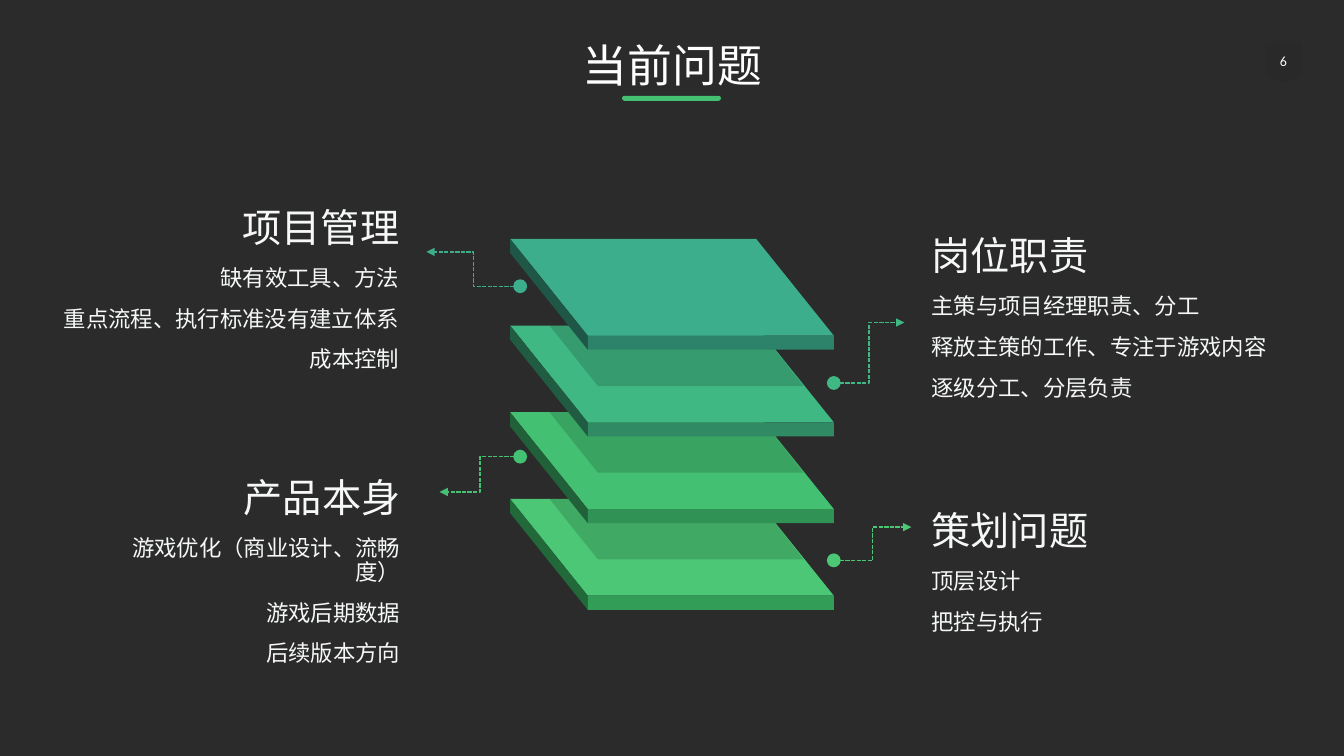
from lxml import etree
from pptx import Presentation
from pptx.dml.color import RGBColor
from pptx.enum.shapes import MSO_CONNECTOR as Connector, MSO_SHAPE as Shape
from pptx.enum.text import MSO_ANCHOR as Anchor, MSO_AUTO_SIZE as AutoSize, PP_ALIGN as Align
from pptx.oxml.ns import qn
from pptx.util import Inches, Pt

TITLE = "当前问题"
PAGE_NUMBER = "6"
COLORS = {
    "background": "2B2B2B", "badge": "292929", "title": "FFFFFF",
    "number": "F9FAFA", "text": "F6F8F8", "accent": "44C072", "shade": "000000",
}
# Top layer first: top face, left side, front edge
LAYERS = [
    ("3CAE8C", "1E5746", "2D8369"),
    ("40B884", "205C42", "308A63"),
    ("44C072", "216139", "319255"),
    ("4CC776", "216939", "319D56"),
]
# Heading, items, box (left, top, width, height), alignment
TOPICS = [
    ("项目管理", ["缺有效工具、方法", "重点流程、执行标准没有建立体系", "成本控制"],
     (0.17, 2.02, 4.06, 2.21), Align.RIGHT),
    ("岗位职责", ["主策与项目经理职责、分工", "释放主策的工作、专注于游戏内容", "逐级分工、分层负责"],
     (8.97, 2.3, 4.05, 1.8), Align.LEFT),
    ("产品本身", ["游戏优化（商业设计、流畅度）", "游戏后期数据", "后续版本方向"],
     (0.79, 4.7, 3.45, 1.8), Align.RIGHT),
    ("策划问题", ["顶层设计", "把控与执行"],
     (8.97, 5.03, 3.36, 1.39), Align.LEFT),
]
# Start and end of the arrow that leaves each layer
ARROWS = [
    ((5.16, 2.84), (4.23, 2.5)),
    ((8.27, 3.8), (8.97, 3.2)),
    ((5.16, 4.53), (4.36, 4.88)),
    ((8.27, 5.56), (9.04, 5.23)),
]
STACK_TOP, LAYER_PITCH = 2.37, 0.86
STACK_LEFT, FRONT_LEFT, BACK_RIGHT, FRONT_RIGHT = 5.06, 5.83, 7.5, 8.27
LAYER_DEPTH, THICKNESS = 0.96, 0.14


def paint(shape, color):
    shape.shadow.inherit = False
    shape.fill.solid()
    shape.fill.fore_color.rgb = RGBColor.from_string(color)
    shape.line.fill.background()
    return shape


def add_polygon(points, color):
    corners = [(Inches(x), Inches(y)) for x, y in points]
    builder = slide.shapes.build_freeform(*corners[0])
    builder.add_line_segments(corners[1:], close=True)
    return paint(builder.convert_to_shape(), color)


def add_box(kind, box, color):
    return paint(slide.shapes.add_shape(kind, *map(Inches, box)), color)


def set_font(paragraph, name, size, color):
    paragraph.font.name = name
    paragraph.font.size = Pt(size)
    paragraph.font.color.rgb = RGBColor.from_string(color)


def set_margins(frame, left, top, right, bottom):
    frame.margin_left, frame.margin_top = Inches(left), Inches(top)
    frame.margin_right, frame.margin_bottom = Inches(right), Inches(bottom)


def add_layer(top, face, side, front, shaded):
    bottom = top + LAYER_DEPTH
    add_polygon([(FRONT_LEFT, bottom), (FRONT_RIGHT, bottom),
                 (BACK_RIGHT, top), (STACK_LEFT, top)], face)
    add_polygon([(STACK_LEFT, top), (STACK_LEFT, top + THICKNESS),
                 (FRONT_LEFT, bottom + THICKNESS), (FRONT_LEFT, bottom)], side)
    add_box(Shape.RECTANGLE,
            (FRONT_LEFT, bottom, FRONT_RIGHT - FRONT_LEFT, THICKNESS), front)
    if shaded:
        shade = add_polygon([(5.93, top + 0.6), (7.97, top + 0.6),
                             (BACK_RIGHT, top), (5.45, top)], COLORS["shade"])
        color = shade.fill._xPr.find(qn("a:solidFill"))[0]
        etree.SubElement(color, qn("a:alpha"), val="15000")


def add_arrow(start, end, color):
    arrow = slide.shapes.add_connector(Connector.ELBOW, *map(Inches, start + end))
    arrow.line.width = Pt(1)
    arrow.line.color.rgb = RGBColor.from_string(color)
    line = arrow.line._get_or_add_ln()
    etree.SubElement(line, qn("a:prstDash"), val="sysDash")
    etree.SubElement(line, qn("a:headEnd"), type="oval", w="lg", len="lg")
    etree.SubElement(line, qn("a:tailEnd"), type="triangle")
    etree.SubElement(arrow._element.spPr, qn("a:effectLst"))


def add_topic(heading, items, box, align):
    frame = slide.shapes.add_textbox(*map(Inches, box)).text_frame
    frame.word_wrap = True
    set_margins(frame, 0.27, 0.05, 0.27, 0.11)
    frame.text = "\n".join([heading] + items)
    for index, paragraph in enumerate(frame.paragraphs):
        paragraph.alignment = align
        paragraph.line_spacing = 0.89
        paragraph.space_before = Pt(12)
        set_font(paragraph, "Noto Sans CJK SC", 16 if index else 28, COLORS["text"])


presentation = Presentation()
presentation.slide_width, presentation.slide_height = Inches(13.33), Inches(7.5)
slide = presentation.slides.add_slide(presentation.slide_layouts[5])
slide.background.fill.solid()
slide.background.fill.fore_color.rgb = RGBColor.from_string(COLORS["background"])

# Title and underline
title = slide.shapes.title
title.left, title.top, title.width, title.height = map(Inches, (1.93, 0.43, 9.48, 0.48))
title.text_frame.text = TITLE
title.text_frame.auto_size = AutoSize.NONE
title.text_frame.vertical_anchor = Anchor.MIDDLE
set_margins(title.text_frame, 0, 0, 0, 0)
title_line = title.text_frame.paragraphs[0]
title_line.alignment = Align.CENTER
title_line.line_spacing = 0.9
set_font(title_line, "Calibri", 32, COLORS["title"])
underline = add_box(Shape.ROUNDED_RECTANGLE, (6.17, 0.95, 0.98, 0.05), COLORS["accent"])
underline.adjustments[0] = 0.5

# Page number badge
badge = add_polygon([(12.55, 0.43), (12.91, 0.43), (12.91, 0.74),
                     (12.73, 0.82), (12.55, 0.74)], COLORS["badge"])
badge.text_frame.text = PAGE_NUMBER
badge.text_frame.vertical_anchor = Anchor.MIDDLE
set_margins(badge.text_frame, 0, 0.08, 0, 0.12)
number_line = badge.text_frame.paragraphs[0]
number_line.alignment = Align.CENTER
set_font(number_line, "Calibri", 10, COLORS["number"])

# Stack, drawn from the bottom layer up
for level in reversed(range(len(LAYERS))):
    add_layer(STACK_TOP + level * LAYER_PITCH, *LAYERS[level], shaded=level > 0)

# Topics and arrows
for topic in TOPICS:
    add_topic(*topic)
for (start, end), (face, _, _) in zip(ARROWS, LAYERS):
    add_arrow(start, end, face)

presentation.save("out.pptx")
